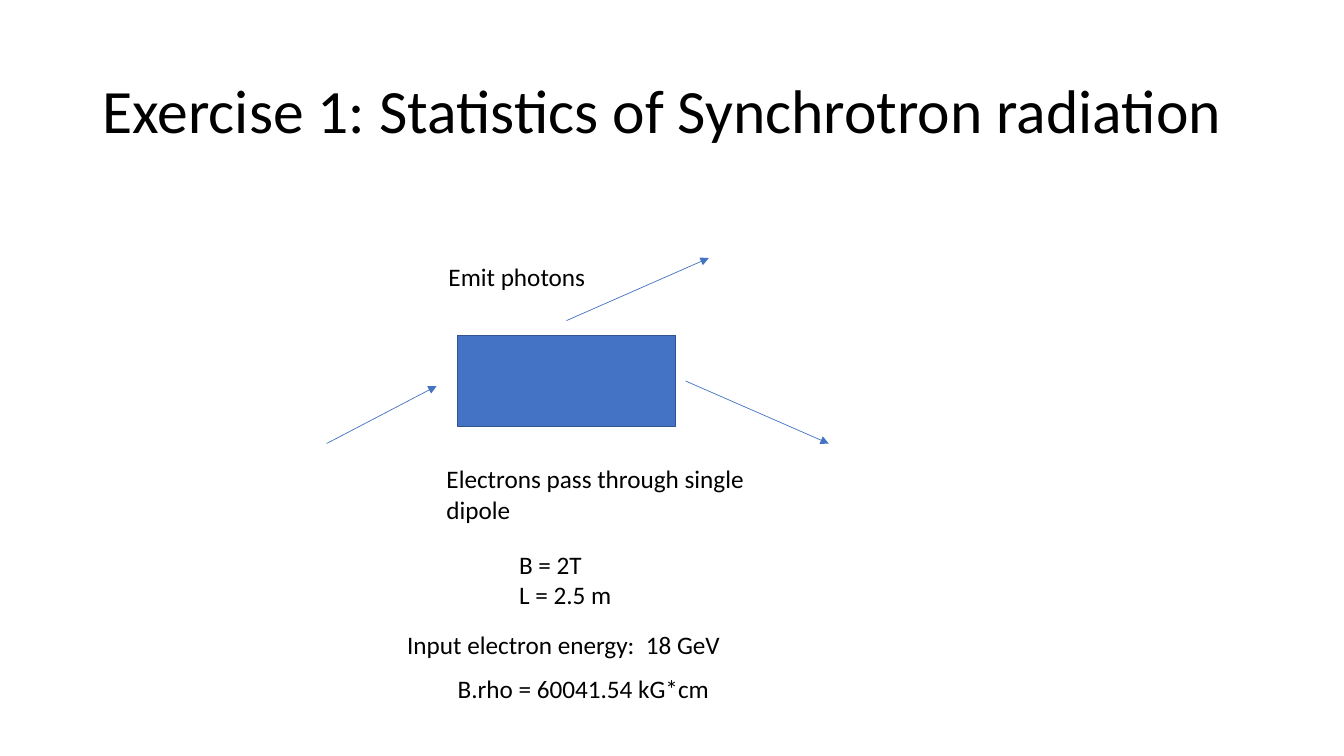
from lxml.etree import SubElement
from pptx import Presentation
from pptx.dml.color import RGBColor
from pptx.enum.shapes import MSO_CONNECTOR, MSO_SHAPE
from pptx.enum.text import MSO_ANCHOR, MSO_AUTO_SIZE
from pptx.oxml.ns import qn
from pptx.util import Inches, Pt


def color(value):
    return RGBColor.from_string(value)


def apply_format(target, values):
    for name, value in values.items():
        setattr(target, name, value)


class SlideBuilder:
    font_name = "Calibri"
    text_color = "000000"
    accent = "4472C4"
    outline = "325491"

    def __init__(self, page):
        self.page = page

    def text(self, place, lines, size=18, frame_format=None, line_spacing=None):
        box = self.page.shapes.add_textbox(*map(Inches, place))
        frame = box.text_frame
        apply_format(frame, frame_format or {
            "word_wrap": False, "auto_size": MSO_AUTO_SIZE.SHAPE_TO_FIT_TEXT})
        for index, line in enumerate(lines):
            para = frame.add_paragraph() if index else frame.paragraphs[0]
            para.line_spacing = line_spacing
            span = para.add_run()
            span.text = line
            apply_format(span.font, {"name": self.font_name, "size": Pt(size)})
            span.font.color.rgb = color(self.text_color)

    def rectangle(self, place):
        box = self.page.shapes.add_shape(MSO_SHAPE.RECTANGLE, *map(Inches, place))
        box.shadow.inherit = False
        box.fill.solid()
        box.fill.fore_color.rgb = color(self.accent)
        box.line.color.rgb = color(self.outline)
        box.line.width = Pt(1)

    def arrow(self, start, end):
        connector = self.page.shapes.add_connector(
            MSO_CONNECTOR.STRAIGHT, *map(Inches, start + end))
        connector.line.color.rgb = color(self.accent)
        connector.line.width = Pt(0.5)
        properties = connector.element.spPr
        SubElement(properties.find(qn("a:ln")), qn("a:tailEnd"), type="triangle")
        SubElement(properties, qn("a:effectLst"))


def main():
    deck = Presentation()
    apply_format(deck, {"slide_width": Inches(13.33), "slide_height": Inches(7.5)})
    builder = SlideBuilder(deck.slides.add_slide(deck.slide_layouts[6]))

    builder.text(
        (0.92, 0.4, 11.5, 1.45), ["Exercise 1: Statistics of Synchrotron radiation"],
        size=44, line_spacing=0.9,
        frame_format={"word_wrap": True, "vertical_anchor": MSO_ANCHOR.MIDDLE})

    builder.rectangle((4.54, 3.33, 2.16, 0.9))

    incoming_electrons = (3.24, 4.4), (4.33, 3.83)
    outgoing_electrons = (6.8, 3.78), (8.22, 4.4)
    emitted_photons = (5.62, 3.18), (7.03, 2.56)
    for start, end in (incoming_electrons, outgoing_electrons, emitted_photons):
        builder.arrow(start, end)

    labels = [
        ((4.35, 2.54, 1.57, 0.4), ["Emit photons"]),
        ((4.33, 4.55, 3.18, 0.71), ["Electrons pass through single", "dipole"]),
        ((5.05, 5.4, 1.13, 0.71), ["B = 2T", "L = 2.5 m"]),
        ((3.94, 6.19, 3.35, 0.4), ["Input electron energy:  18 GeV"]),
        ((4.44, 6.63, 2.78, 0.4), ["B.rho = 60041.54 kG*cm"]),
    ]
    for place, lines in labels:
        builder.text(place, lines)

    deck.save("out.pptx")


if __name__ == "__main__":
    main()
